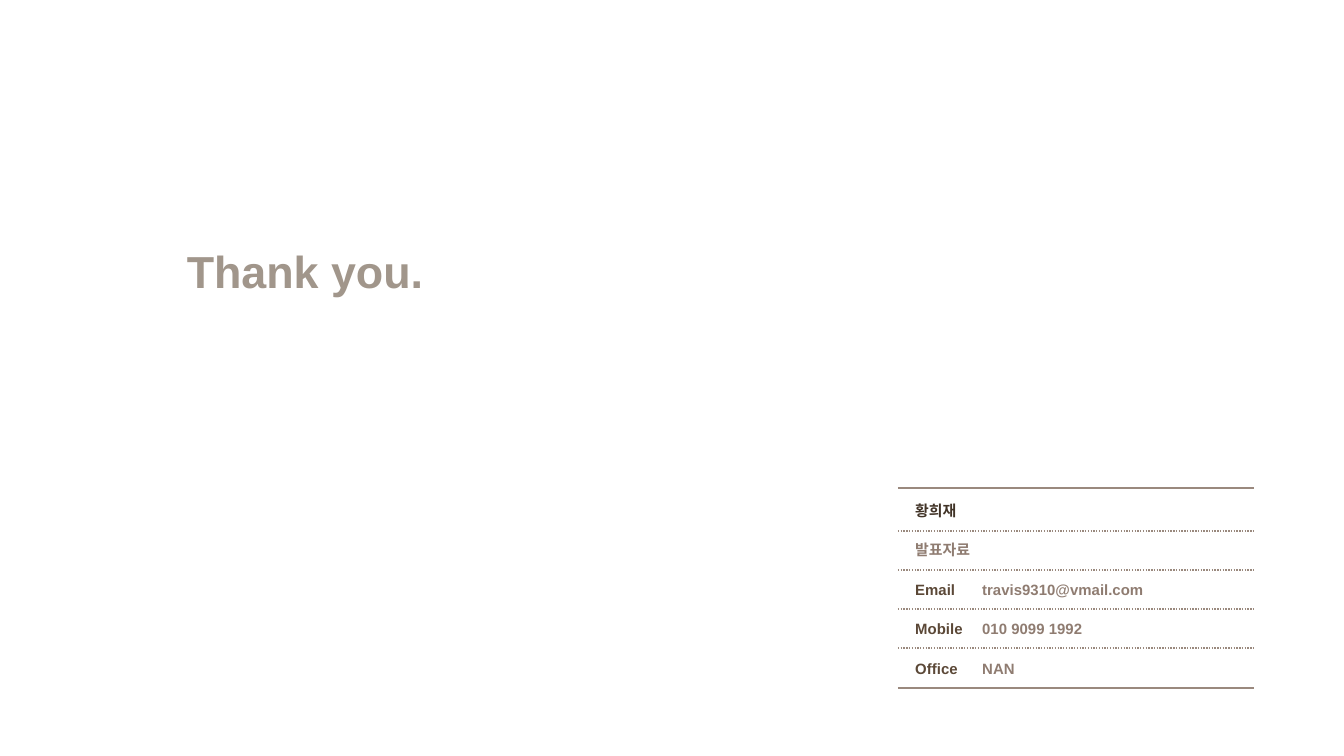
from pptx import Presentation
from pptx.dml.color import RGBColor
from pptx.enum.dml import MSO_LINE
from pptx.enum.shapes import MSO_CONNECTOR
from pptx.enum.text import MSO_ANCHOR, MSO_AUTO_SIZE, PP_ALIGN
from pptx.oxml.ns import qn
from pptx.util import Emu, Pt
from lxml import etree

PX = 914400 / 134.4
TITLE = RGBColor(0xA1, 0x96, 0x8B)
RULE = RGBColor(0x9A, 0x89, 0x7E)
NAME = RGBColor(0x41, 0x33, 0x27)
LABEL = RGBColor(0x5B, 0x48, 0x37)
VALUE = RGBColor(0x8F, 0x7C, 0x71)


def px(*lengths):
    return [Emu(round(n * PX)) for n in lengths]


def write(sp, text, size, color, align):
    tf = sp.text_frame
    for key, value in {"word_wrap": False, "auto_size": MSO_AUTO_SIZE.NONE,
                       "vertical_anchor": MSO_ANCHOR.TOP}.items():
        setattr(tf, key, value)
    p = tf.paragraphs[0]
    p.alignment = align
    r = p.add_run()
    r.text = text
    for key, value in {"name": "Arial", "size": Pt(size), "bold": True}.items():
        setattr(r.font, key, value)
    r.font.color.rgb = color


prs = Presentation()
prs.slide_width, prs.slide_height = px(1344, 756)
s = prs.slides.add_slide(prs.slide_layouts[5])

# Closing title
title = s.shapes.title
title.left, title.top, title.width, title.height = px(172, 237, 266, 67)
write(title, "Thank you.", 24, TITLE, PP_ALIGN.CENTER)

# Contact card text: (column left, width, text, colour) per row
LEFT, RIGHT = 902, 969
rows = [
    [(LEFT, 73, "황희재", NAME)],
    [(LEFT, 87, "발표자료", VALUE)],
    [(LEFT, 85, "Email", LABEL), (RIGHT, 191, "travis9310@vmail.com", VALUE)],
    [(LEFT, 79, "Mobile", LABEL), (RIGHT, 129, "010 9099 1992", VALUE)],
    [(LEFT, 74, "Office", LABEL), (RIGHT, 59, "NAN", VALUE)],
]
for i, row in enumerate(rows):
    for left, width, text, color in row:
        tb = s.shapes.add_textbox(*px(left, 495 + i * 79 // 2, width, 32))
        write(tb, text, 8, color, PP_ALIGN.LEFT)

# Solid rules at top and bottom, dotted rules between rows
rules = [(y, 1.5, MSO_LINE.SOLID) for y in (488, 688)]
rules += [(531 + 39 * i, 0.75, MSO_LINE.ROUND_DOT) for i in range(len(rows) - 1)]
for y, weight, dash in rules:
    cn = s.shapes.add_connector(MSO_CONNECTOR.STRAIGHT, *px(898, y, 1254, y))
    cn.line.color.rgb = RULE
    cn.line.width = Pt(weight)
    cn.line.dash_style = dash
    etree.SubElement(cn._element.spPr, qn("a:effectLst"))

prs.save("out.pptx")
